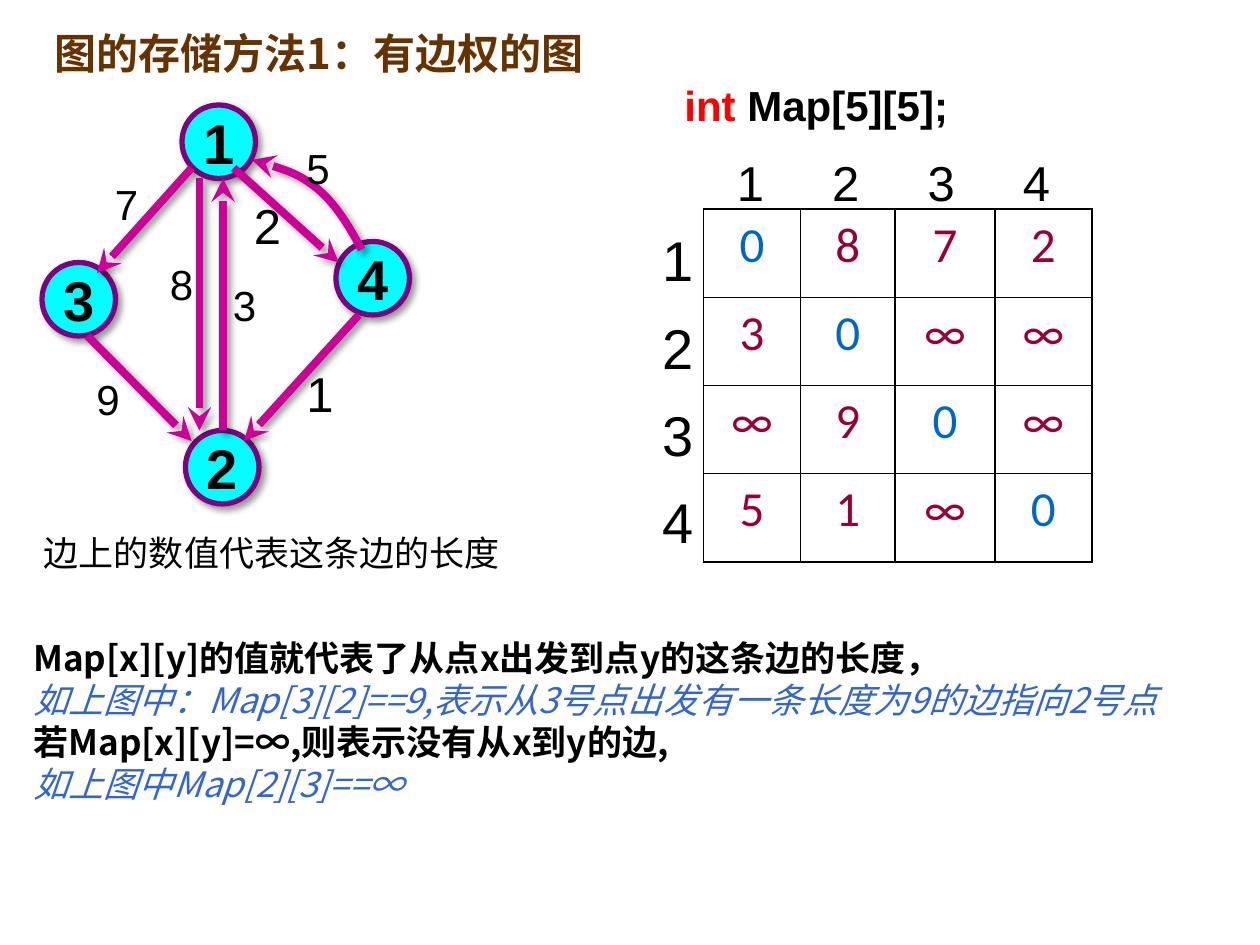
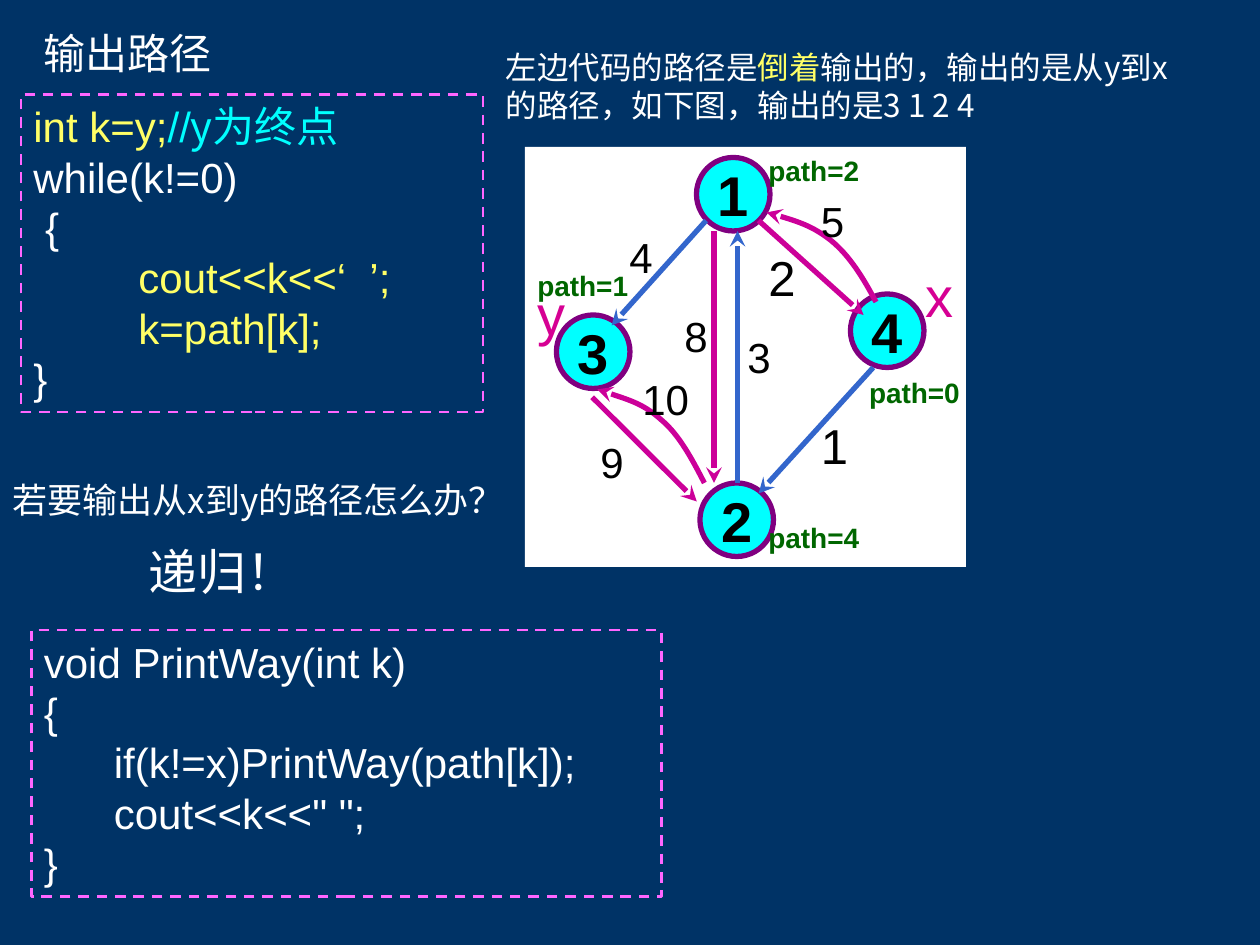
from dataclasses import dataclass, replace

from lxml.etree import SubElement
from pptx import Presentation
from pptx.dml.color import RGBColor
from pptx.enum.dml import MSO_LINE
from pptx.enum.shapes import MSO_CONNECTOR, MSO_SHAPE
from pptx.enum.text import MSO_ANCHOR, PP_ALIGN
from pptx.oxml.ns import qn
from pptx.util import Pt

# Shared colours and fonts
BLACK, WHITE, NAVY = "000000", "FFFFFF", "003366"
CYAN, PURPLE, MAGENTA, BLUE = "00FFFF", "800080", "CC0099", "3366CC"
YELLOW, PINK = "FFFF66", "FF66FF"
SANS, NOTO_SC, NOTO_JP = "Arial", "Noto Sans CJK SC", "Noto Sans CJK JP"


@dataclass(frozen=True)
class Style:
    size: float
    colour: str = BLACK
    font: str = SANS
    bold: bool = False
    italic: bool = False
    align: PP_ALIGN = PP_ALIGN.LEFT
    spacing: float = 1.0


@dataclass(frozen=True)
class Span:
    text: str
    colour: str | None = None
    font: str | None = None


@dataclass(frozen=True)
class Line:
    spans: tuple[Span, ...]
    style: Style
    indent: float = 0


@dataclass(frozen=True)
class Node:
    name: str
    left: float
    top: float


@dataclass(frozen=True)
class Edge:
    points: tuple[tuple[float, float], ...]  # two ends, or a chain of Bezier curves
    weight: str
    label: tuple[float, float]
    label_size: float = 24
    colour: str = MAGENTA


@dataclass(frozen=True)
class Look:
    origin: tuple[float, float]
    width: float
    shadow: bool


# The graph, relative to its origin
NODE_SIZE = 42
NODES = [Node("1", 104, 60), Node("3", 24, 150), Node("2", 106, 246), Node("4", 192, 138)]
EDGES = {
    "2-1": Edge(((127.5, 246), (127.5, 102)), "3", (126, 156)),
    "1-2": Edge(((114, 102), (114, 246)), "8", (90, 144)),
    "3-2": Edge(((50, 192), (109.5, 252)), "9", (48, 210)),
    "4-2": Edge(((205, 180), (139.5, 252)), "1", (168, 204), 28),
    "1-3": Edge(((109.5, 96), (55.5, 156)), "7", (58.5, 98.5)),
    "4-1": Edge(((206.6, 142.6), (199.4, 129), (191.5, 116), (180.7, 107.3),
                 (170.6, 99.4), (157.7, 95), (144, 91.4)), "5", (168, 78)),
    "1-4": Edge(((133.5, 96), (193.5, 150)), "2", (138, 108), 28),
}
NODE_STYLE = Style(32, bold=True, align=PP_ALIGN.CENTER)


def rgb(colour: str) -> RGBColor:
    return RGBColor.from_string(colour)


def line(text: str, style: Style, indent: float = 0) -> Line:
    return Line((Span(text),), style, indent)


def write(frame, lines: list[Line]) -> None:
    for number, item in enumerate(lines):
        paragraph = frame.add_paragraph() if number else frame.paragraphs[0]
        style = item.style
        paragraph.alignment = style.align
        paragraph.line_spacing = style.spacing
        font = paragraph.font
        font.size, font.bold, font.italic = Pt(style.size), style.bold, style.italic
        font.name = style.font
        font.color.rgb = rgb(style.colour)
        # Indent and East Asian font
        properties = paragraph._p.get_or_add_pPr()
        properties.set("marL", str(Pt(item.indent)))
        properties.set("indent", "0")
        east_asian = NOTO_SC if style.font == SANS else style.font
        SubElement(properties.find(qn("a:defRPr")), qn("a:ea"), typeface=east_asian)
        for span in item.spans:
            run = paragraph.add_run()
            run.text = span.text
            if span.colour:
                run.font.color.rgb = rgb(span.colour)
            if span.font:
                run.font.name = span.font
                SubElement(run._r.get_or_add_rPr(), qn("a:ea"), typeface=span.font)


def add_text(slide, left: float, top: float, width: float, height: float,
             *lines: Line) -> None:
    frame = slide.shapes.add_textbox(Pt(left), Pt(top), Pt(width), Pt(height)).text_frame
    frame.word_wrap = True
    write(frame, list(lines))


def set_effects(shape, shadow: bool) -> None:
    effects = SubElement(shape._element.spPr, qn("a:effectLst"))
    if shadow:
        outer = SubElement(effects, qn("a:outerShdw"), blurRad=str(Pt(4)),
                           dist=str(Pt(3)), dir="2700000", algn="ctr", rotWithShape="0")
        black = SubElement(outer, qn("a:srgbClr"), val=BLACK)
        SubElement(black, qn("a:alpha"), val="40000")


def set_outline(shape, colour: str, width: float) -> None:
    shape.line.color.rgb = rgb(colour)
    shape.line.width = Pt(width)


def add_curve(slide, points: list[tuple[float, float]]):
    vertices = [(Pt(x), Pt(y)) for x, y in points]
    builder = slide.shapes.build_freeform(*vertices[0])
    builder.add_line_segments(vertices[1:], close=False)
    curve = builder.convert_to_shape()
    curve.fill.background()
    # Join every three segments into one Bezier curve
    segments = list(curve._element.iter(qn("a:lnTo")))
    outline = segments[0].getparent()
    for first in range(0, len(segments), 3):
        bezier = SubElement(outline, qn("a:cubicBezTo"))
        for segment in segments[first:first + 3]:
            bezier.append(segment[0])
            outline.remove(segment)
    return curve


def add_edge(slide, edge: Edge, look: Look) -> None:
    dx, dy = look.origin
    points = [(x + dx, y + dy) for x, y in edge.points]
    if len(points) == 2:
        ends = [Pt(value) for point in points for value in point]
        shape = slide.shapes.add_connector(MSO_CONNECTOR.STRAIGHT, *ends)
    else:
        shape = add_curve(slide, points)
    set_outline(shape, edge.colour, look.width)
    SubElement(shape.line._get_or_add_ln(), qn("a:tailEnd"), type="stealth")
    set_effects(shape, look.shadow)


def add_node(slide, node: Node, look: Look) -> None:
    dx, dy = look.origin
    circle = slide.shapes.add_shape(MSO_SHAPE.OVAL, Pt(node.left + dx), Pt(node.top + dy),
                                    Pt(NODE_SIZE), Pt(NODE_SIZE))
    circle.fill.solid()
    circle.fill.fore_color.rgb = rgb(CYAN)
    set_outline(circle, PURPLE, 3)
    set_effects(circle, look.shadow)
    circle.text_frame.word_wrap = False
    circle.text_frame.vertical_anchor = MSO_ANCHOR.MIDDLE
    write(circle.text_frame, [line(node.name, NODE_STYLE)])


def add_graph(slide, edges: dict[str, Edge], look: Look) -> None:
    for node in NODES:
        add_node(slide, node, look)
    for edge in edges.values():
        add_edge(slide, edge, look)
    for edge in edges.values():
        x, y = edge.label
        add_text(slide, x + look.origin[0], y + look.origin[1], 42.5, 36,
                 line(edge.weight, Style(edge.label_size)))


def add_code(slide, left: float, top: float, width: float, height: float,
             *lines: Line) -> None:
    box = slide.shapes.add_shape(MSO_SHAPE.RECTANGLE, Pt(left), Pt(top), Pt(width), Pt(height))
    box.fill.background()
    set_outline(box, PINK, 1.5)
    box.line.dash_style = MSO_LINE.DASH
    set_effects(box, False)
    box.text_frame.word_wrap = True
    box.text_frame.vertical_anchor = MSO_ANCHOR.TOP
    write(box.text_frame, list(lines))


def add_matrix(slide, rows: list[str]) -> None:
    row_height, widths = 50.4, [55.5, 54, 57, 55.5]
    frame = slide.shapes.add_table(len(rows), len(widths), Pt(402), Pt(119.5),
                                   Pt(sum(widths)), Pt(row_height * len(rows)))
    table = frame.table
    table.first_row = table.horz_banding = False
    for column, width in zip(table.columns, widths):
        column.width = Pt(width)
    for row, values in zip(table.rows, rows):
        row.height = Pt(row_height)
        for cell, value in zip(row.cells, values):
            colour = "0066CC" if value == "0" else "990033"
            write(cell.text_frame,
                  [line(value, Style(28, colour, "Calibri", align=PP_ALIGN.CENTER))])
            properties = cell._tc.get_or_add_tcPr()
            for side in ("lnL", "lnR", "lnT", "lnB"):
                border = SubElement(properties, qn(f"a:{side}"), w=str(Pt(1)))
                fill = SubElement(border, qn("a:solidFill"))
                SubElement(fill, qn("a:srgbClr"), val=BLACK)
            cell.fill.background()


def new_slide(presentation, background: str):
    slide = presentation.slides.add_slide(presentation.slide_layouts[6])
    slide.background.fill.solid()
    slide.background.fill.fore_color.rgb = rgb(background)
    return slide


def build_storage_slide(presentation) -> None:
    slide = new_slide(presentation, WHITE)
    add_text(slide, 24, 12, 366, 36,
             line("图的存储方法1：有边权的图", Style(24, "663300", NOTO_JP, bold=True)))
    add_graph(slide, EDGES, Look((0, 0), 4.5, True))
    add_text(slide, 18, 300, 282, 31, line("边上的数值代表这条边的长度", Style(20)))

    # Adjacency matrix with its row and column numbers
    add_text(slide, 384, 42, 174, 36,
             Line((Span("int ", "FF0000"), Span("Map[5][5];")), Style(24, bold=True)))
    add_matrix(slide, ["0872", "30∞∞", "∞90∞", "51∞0"])
    add_text(slide, 371.5, 114, 46, 207, *[line(n, Style(32, spacing=1.3)) for n in "1234"])
    for column, number in enumerate("1234"):
        add_text(slide, 414 + 54.5 * column, 83.5, 42, 41, line(number, Style(28)))

    # Explanation
    rule = Style(20, font=NOTO_SC, bold=True)
    example = Style(20, BLUE, NOTO_SC, italic=True)
    add_text(slide, 12, 360, 666, 103,
             line("Map[x][y]的值就代表了从点x出发到点y的这条边的长度，", rule),
             line("如上图中：Map[3][2]==9,表示从3号点出发有一条长度为9的边指向2号点", example),
             line("若Map[x][y]=∞,则表示没有从x到y的边,", rule),
             line("如上图中Map[2][3]==∞", example))


def build_path_slide(presentation) -> None:
    slide = new_slide(presentation, NAVY)
    code, note = Style(24, WHITE), Style(18, WHITE, NOTO_SC)
    active = replace(code, colour=YELLOW)
    add_text(slide, 18, 12, 342, 36, line("输出路径", code))
    add_code(slide, 12, 54, 264, 181.5,
             Line((Span("int k=y;"), Span("//", CYAN), Span("y为终点", CYAN, NOTO_JP)), active),
             line("while(k!=0)", code),
             line("{", code, 6.67),
             line("cout<<k<<‘  ’;", active, 60),
             line("k=path[k];", active, 60),
             line("}", code))
    add_text(slide, 282, 24, 408, 50,
             Line((Span("左边代码的路径是"), Span("倒着", YELLOW),
                   Span("输出的，输出的是从y到x的路径，如下图，输出的是3 1 2 4")), note))

    # Graph on a white panel, with the path found in blue
    panel = slide.shapes.add_shape(MSO_SHAPE.RECTANGLE, Pt(300), Pt(84), Pt(252), Pt(240))
    panel.fill.solid()
    panel.fill.fore_color.rgb = rgb(WHITE)
    panel.line.fill.background()
    set_effects(panel, False)
    edges = EDGES | {key: replace(EDGES[key], colour=BLUE) for key in ("2-1", "4-2", "1-3")}
    edges["1-3"] = replace(edges["1-3"], weight="4")
    edges["1-4"] = replace(edges["1-4"], points=((139.5, 96), (199.5, 150)))
    edges["3-2"] = replace(edges["3-2"], points=((44.4, 197), (104.2, 256.6)), label=(42, 216))
    edges["2-3"] = Edge(((108.5, 246), (101.3, 232), (94, 218.4), (84, 210),
                         (74, 201), (61, 197), (47.3, 192.5)), "10", (66, 180))
    add_graph(slide, edges, Look((294, 30), 3, False))
    for name, left, top in (("y", 300, 156), ("x", 522, 146)):
        add_text(slide, left, top, 24.5, 45, line(name, Style(32, "D60093")))
    for value, left, top in ((1, 300, 150), (2, 432, 84), (4, 432, 294), (0, 489.5, 211)):
        add_text(slide, left, top, 90, 27,
                 line(f"path={value}", Style(16, "006600", bold=True)))

    # Recursive answer
    add_text(slide, 0, 270, 300, 31,
             line("若要输出从x到y的路径怎么办？", replace(note, size=20)))
    add_text(slide, 78, 306, 273.5, 41, line("递归！", replace(note, size=28)))
    add_code(slide, 18, 360, 360, 152.5,
             line("void PrintWay(int k)", code),
             line("{", code),
             line("if(k!=x)PrintWay(path[k]);", code, 40),
             line('cout<<k<<" ";', code, 40),
             line("}", code))


def main() -> None:
    presentation = Presentation()
    presentation.slide_width, presentation.slide_height = Pt(720), Pt(540)
    build_storage_slide(presentation)
    build_path_slide(presentation)
    presentation.save("out.pptx")


if __name__ == "__main__":
    main()
